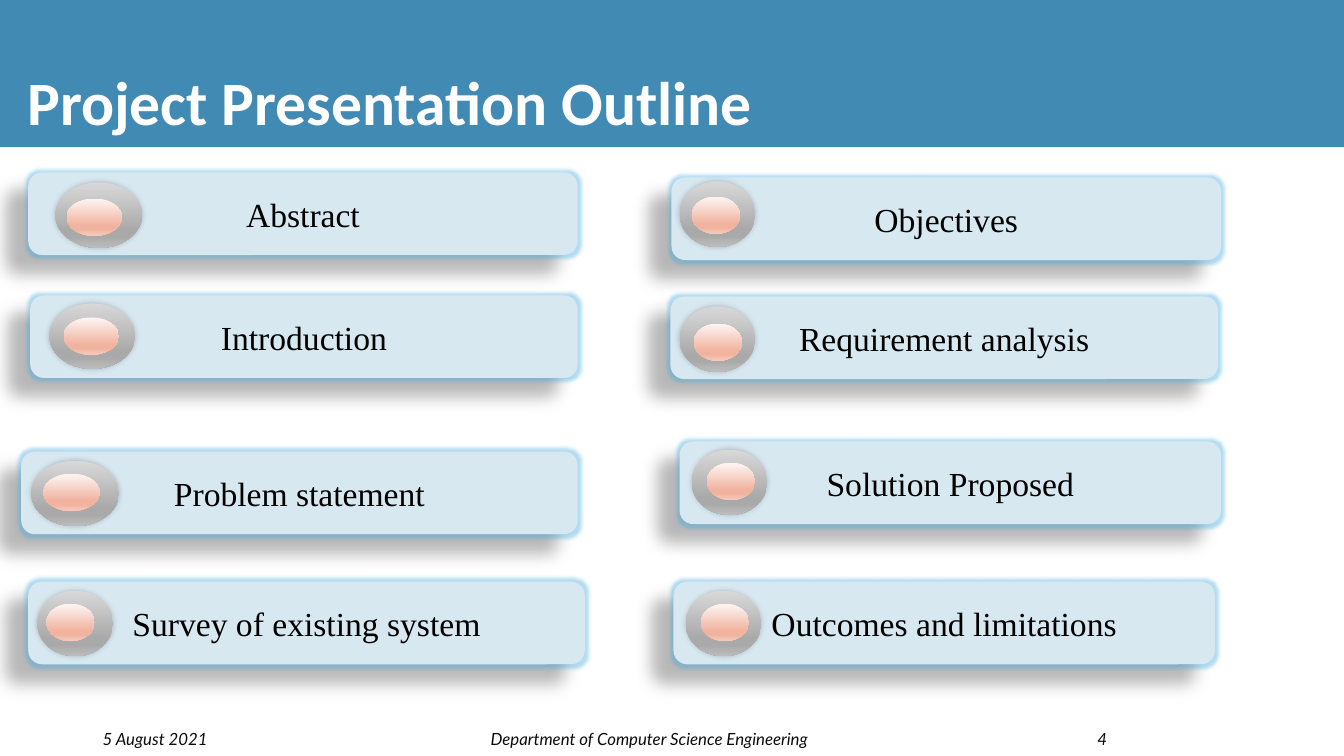
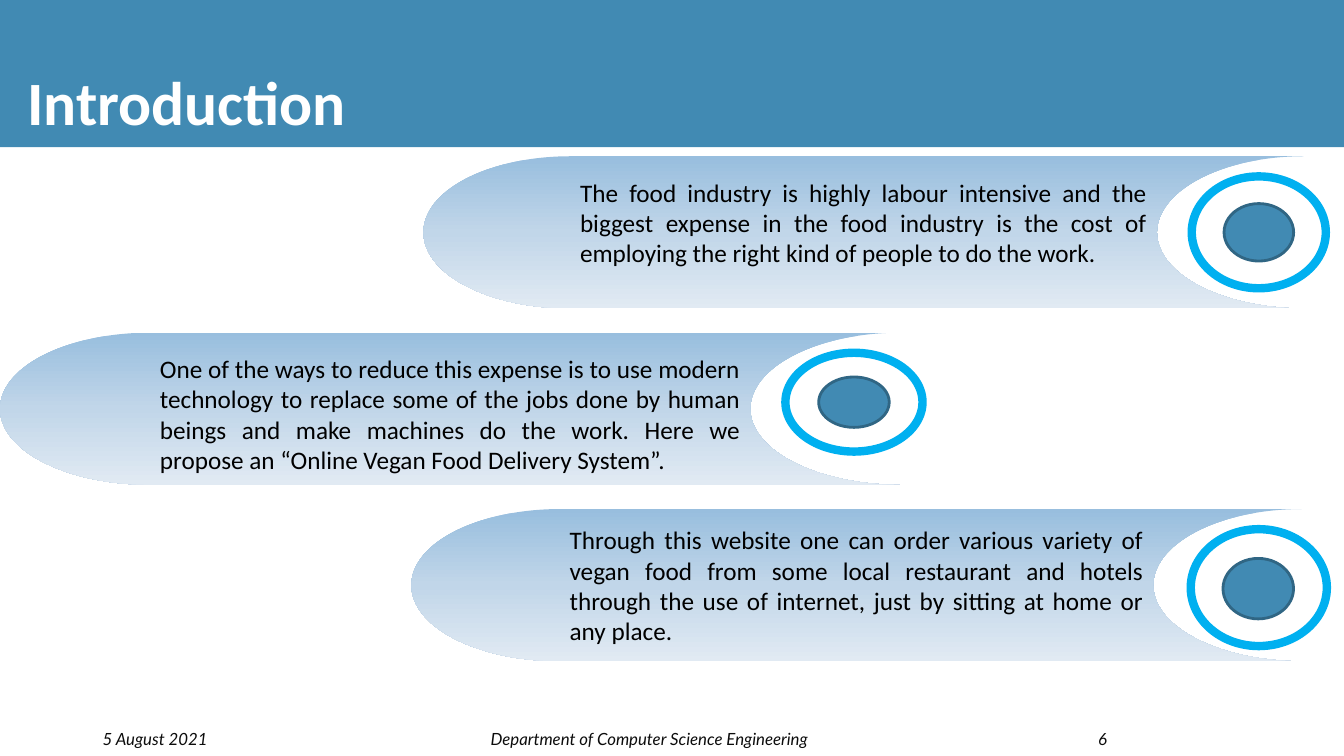
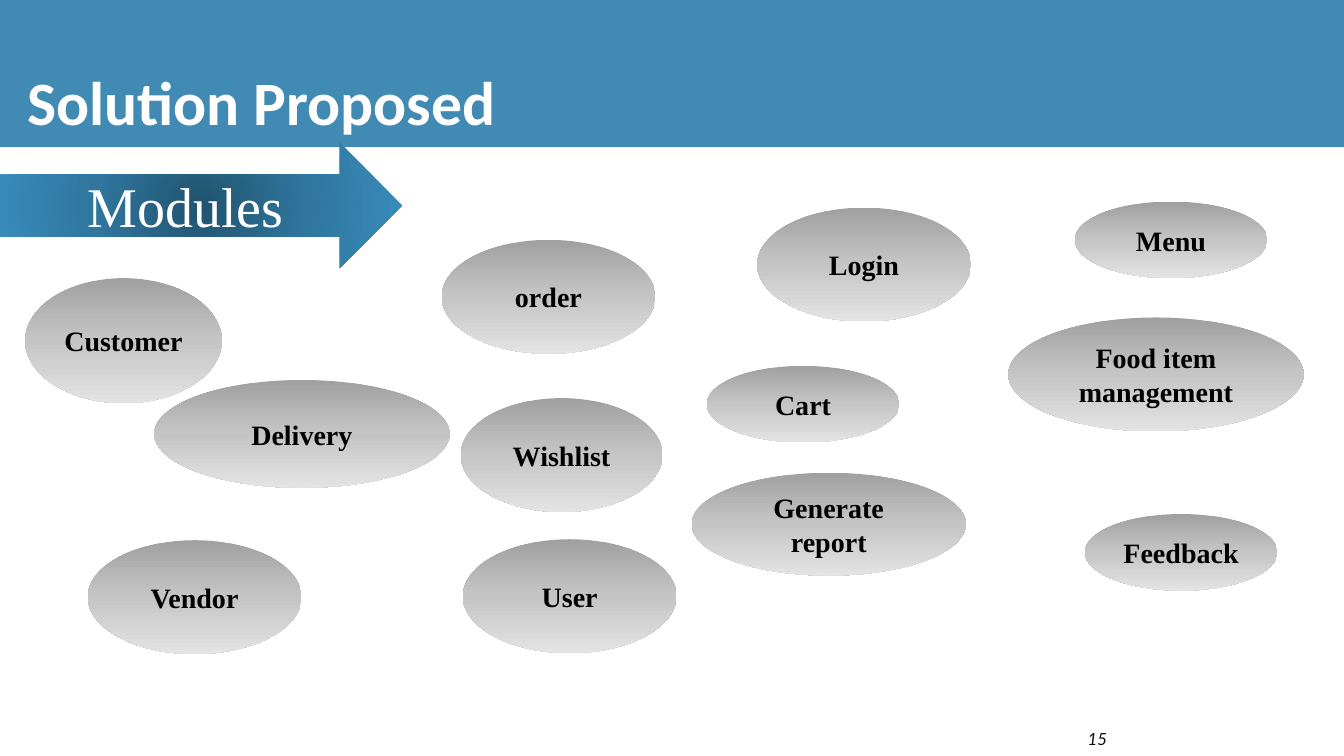
from dataclasses import dataclass

from lxml.etree import SubElement
from pptx import Presentation
from pptx.dml.color import RGBColor
from pptx.enum.shapes import MSO_SHAPE as Preset
from pptx.enum.text import MSO_ANCHOR as Anchor, MSO_AUTO_SIZE as AutoSize, PP_ALIGN as Align
from pptx.oxml.ns import qn
from pptx.util import Inches, Pt


@dataclass(frozen=True)
class Theme:
    band: str = "418AB3"
    white: str = "FFFFFF"
    black: str = "000000"
    footer: str = "0C0C0C"
    bar: str = "D8E8F1"
    glow: str = "3FA9E0"
    ring: str = "00B0F0"
    dot_line: str = "306684"
    knob: tuple = ((0, "D8D8D8"), (74, "A9A9A9"), (83, "A9A9A9"), (100, "BDBDBD"))
    lamp: tuple = ((0, "FDF6F4"), (74, "F1B29E"), (83, "F1B29E"), (100, "F5CBBE"))
    ribbon: tuple = ((0, "98BEDE"), (50, "C1D6E9"), (100, "E1EAF3"))
    arrow: tuple = ((0, "21536F"), (50, "30769E"), (100, "388CBC"))
    module: tuple = ((0, "A0A0A0"), (50, "C5C5C5"), (100, "E3E3E3"))
    sans: str = "Calibri"
    serif: str = "Times New Roman"
    footer_font: str = "Lato"
    title_size: int = 44
    arrow_size: int = 40
    bar_size: int = 24
    module_size: int = 20
    body_size: int = 18
    footer_size: int = 12


THEME = Theme()

DATE = "5 August 2021"
DEPARTMENT = "Department of Computer Science Engineering"

BAR_HEIGHT, KNOB_HEIGHT, LAMP_HEIGHT = 0.82, 0.65, 0.37
# label, bar (left, top, width), knob (left, top, width), lamp (left, top, width)
OUTLINE = [
    ("Abstract", (0.28, 1.71, 5.45), (0.55, 1.81, 0.86), (0.66, 1.97, 0.55)),
    ("Survey of existing system", (0.28, 5.77, 5.52), (0.37, 5.86, 0.75), (0.46, 5.99, 0.48)),
    ("Objectives", (6.66, 1.76, 5.45), (6.74, 1.8, 0.75), (6.86, 1.95, 0.48)),
    ("Requirement analysis", (6.65, 2.94, 5.43), (6.74, 3.04, 0.75), (6.88, 3.21, 0.48)),
    ("Solution Proposed", (6.74, 4.38, 5.37), (6.86, 4.46, 0.75), (7.01, 4.59, 0.48)),
    ("Introduction", (0.3, 2.93, 5.43), (0.49, 3.01, 0.85), (0.63, 3.15, 0.55)),
    ("Problem statement", (0.21, 4.48, 5.52), (0.31, 4.57, 0.87), (0.43, 4.7, 0.56)),
    ("Outcomes and limitations", (6.68, 5.77, 5.37), (6.8, 5.86, 0.75), (6.95, 5.99, 0.48)),
]

INTRODUCTION = [
    ("The food industry is highly labour intensive and the biggest expense in the food "
     "industry is the cost of employing the right kind of people to do the work.",
     (4.2, 1.55, 8.73, 1.51), (11.82, 1.75, 1.33, 1.11), (12.14, 2.02, 0.69, 0.57), -0.1),
    ("One of the ways to reduce this expense is to use modern technology to replace some of "
     "the jobs done by human beings and make machines do the work. Here we propose an "
     "“Online Vegan Food Delivery System”.",
     (0, 3.3, 8.93, 1.51), (7.79, 3.5, 1.36, 0.98), (8.12, 3.74, 0.7, 0.5), 0.05),
    ("Through this website one can order various variety of vegan food from some local "
     "restaurant and hotels through the use of internet, just by sitting at home or any place.",
     (4.08, 5.05, 8.83, 1.51), (11.81, 5.25, 1.35, 1.16), (12.13, 5.54, 0.7, 0.6), 0),
]

MODULES = [
    ("Customer", (0.25, 2.76, 1.95, 1.24)),
    ("Food item management", (10, 3.15, 2.93, 1.13)),
    ("Delivery", (1.53, 3.77, 2.93, 1.07)),
    ("Cart", (7.01, 3.63, 1.91, 0.76)),
    ("Wishlist", (4.57, 3.95, 2, 1.13)),
    ("Login", (7.51, 2.06, 2.12, 1.13)),
    ("User", (4.59, 5.35, 2.12, 1.13)),
    ("Feedback", (10.76, 5.1, 1.91, 0.76)),
    ("Vendor", (0.87, 5.36, 2.12, 1.13)),
    ("Generate report", (6.86, 4.69, 2.72, 1.02)),
    ("Menu", (10.66, 2, 1.91, 0.76)),
    ("order", (4.38, 2.38, 2.12, 1.13)),
]


def color(value):
    return RGBColor.from_string(value)


def write(part, text, font, size, ink, align=Align.CENTER, bold=False, italic=False,
          anchor=Anchor.MIDDLE, margins=(0.1, 0.05, 0.1, 0.05)):
    frame = part.text_frame
    frame.word_wrap = True
    frame.auto_size = AutoSize.NONE
    frame.vertical_anchor = anchor
    (frame.margin_left, frame.margin_top,
     frame.margin_right, frame.margin_bottom) = map(Inches, margins)
    paragraph = frame.paragraphs[0]
    paragraph.alignment = align
    run = paragraph.add_run()
    run.text = text
    run.font.name, run.font.size = font, Pt(size)
    run.font.bold, run.font.italic = bold, italic
    run.font.color.rgb = color(ink)


def paint_gradient(part, stops, radial=False):
    part.fill.gradient()
    gradient = part.element.spPr.find(qn("a:gradFill"))
    for child in list(gradient):
        gradient.remove(child)
    stop_list = SubElement(gradient, qn("a:gsLst"))
    for position, value in stops:
        stop = SubElement(stop_list, qn("a:gs"), pos=str(position * 1000))
        SubElement(stop, qn("a:srgbClr"), val=value)
    if radial:
        circle = SubElement(gradient, qn("a:path"), {"path": "circle"})
        SubElement(circle, qn("a:fillToRect"), dict.fromkeys("ltrb", "50000"))
    else:
        SubElement(gradient, qn("a:lin"), ang="5400000", scaled="0")


def draw(shapes, preset, box, fill=None, line=None, line_width=1, radial=False):
    part = shapes.add_shape(preset, *map(Inches, box))
    part.shadow.inherit = False
    if fill is None:
        part.fill.background()
    elif isinstance(fill, tuple):
        paint_gradient(part, fill, radial)
    else:
        part.fill.solid()
        part.fill.fore_color.rgb = color(fill)
    if line:
        part.line.color.rgb = color(line)
        part.line.width = Pt(line_width)
    else:
        part.line.fill.background()
    return part


def add_effect(part, kind, value, opacity, **settings):
    effects = part.element.spPr.find(qn("a:effectLst"))
    effect = SubElement(effects, qn(kind), {key: str(int(n)) for key, n in settings.items()})
    tint = SubElement(effect, qn("a:srgbClr"), val=value)
    SubElement(tint, qn("a:alpha"), val=str(opacity * 1000))


def start_slide(deck, title, number, full_footer=True):
    slide = deck.slides.add_slide(deck.slide_layouts[5])
    heading = slide.shapes.title
    heading.left, heading.top, heading.width, heading.height = map(Inches, (0.17, 0, 12.99, 1.42))
    write(heading, title, THEME.sans, THEME.title_size, THEME.white, Align.LEFT,
          bold=True, anchor=Anchor.BOTTOM)
    footers = [(str(number), 9.58, 1.5, Align.RIGHT)]
    if full_footer:
        footers += [(DATE, 0.92, 3.5, Align.LEFT), (DEPARTMENT, 4.69, 3.5, Align.CENTER)]
    for text, left, width, align in footers:
        footer = slide.shapes.add_textbox(*map(Inches, (left, 7.18, width, 0.3)))
        write(footer, text, THEME.footer_font, THEME.footer_size, THEME.footer, align, italic=True)
    return slide


def add_layout_band(deck, slide):
    band = draw(slide.shapes, Preset.RECTANGLE, (0, 0, 13.33, 1.46), THEME.band)
    deck.slide_layouts[5].shapes.element.insert(2, band.element)


def build_outline(slide):
    for label, bar_place, knob_place, lamp_place in OUTLINE:
        entry = slide.shapes.add_group_shape().shapes
        bar = draw(entry, Preset.FLOWCHART_ALTERNATE_PROCESS, (*bar_place, BAR_HEIGHT), THEME.bar)
        add_effect(bar, "a:glow", THEME.glow, 40, rad=Pt(5))
        add_effect(bar, "a:outerShdw", THEME.black, 28, blurRad=Pt(11.8), dist=Pt(19.7),
                   dir=141 * 60000)
        write(bar, label, THEME.serif, THEME.bar_size, THEME.black)
        knob = draw(entry, Preset.OVAL, (*knob_place, KNOB_HEIGHT), THEME.knob)
        add_effect(knob, "a:outerShdw", THEME.black, 20, blurRad=Pt(4), dist=0, dir=0)
        draw(entry, Preset.OVAL, (*lamp_place, LAMP_HEIGHT), THEME.lamp)


def build_introduction(slide):
    for text, ribbon_box, ring_box, dot_box, shift in INTRODUCTION:
        entry = slide.shapes.add_group_shape().shapes
        ribbon = draw(entry, Preset.FLOWCHART_STORED_DATA, ribbon_box, THEME.ribbon)
        write(ribbon, text, THEME.sans, THEME.body_size, THEME.black, Align.JUSTIFY,
              margins=(0.1, 0.1 + shift, 0.1, 0.1 - shift))
        draw(entry, Preset.FLOWCHART_CONNECTOR, ring_box, None, THEME.ring, 6)
        draw(entry, Preset.FLOWCHART_CONNECTOR, dot_box, THEME.band, THEME.dot_line, 2)


def build_modules(slide):
    arrow = draw(slide.shapes, Preset.RIGHT_ARROW, (0, 1.42, 3.99, 1.24), THEME.arrow, radial=True)
    write(arrow, "Modules", THEME.serif, THEME.arrow_size, THEME.white)
    for label, box in MODULES:
        module = draw(slide.shapes, Preset.OVAL, box, THEME.module)
        write(module, label, THEME.serif, THEME.module_size, THEME.black, bold=True,
              margins=(0.08, 0.05, 0.08, 0.05))


def main():
    deck = Presentation()
    deck.slide_width, deck.slide_height = Inches(13.33), Inches(7.5)
    outline = start_slide(deck, "Project Presentation Outline", 4)
    add_layout_band(deck, outline)
    build_outline(outline)
    build_introduction(start_slide(deck, "Introduction", 6))
    build_modules(start_slide(deck, "Solution Proposed", 15, full_footer=False))
    deck.save("out.pptx")


if __name__ == "__main__":
    main()
